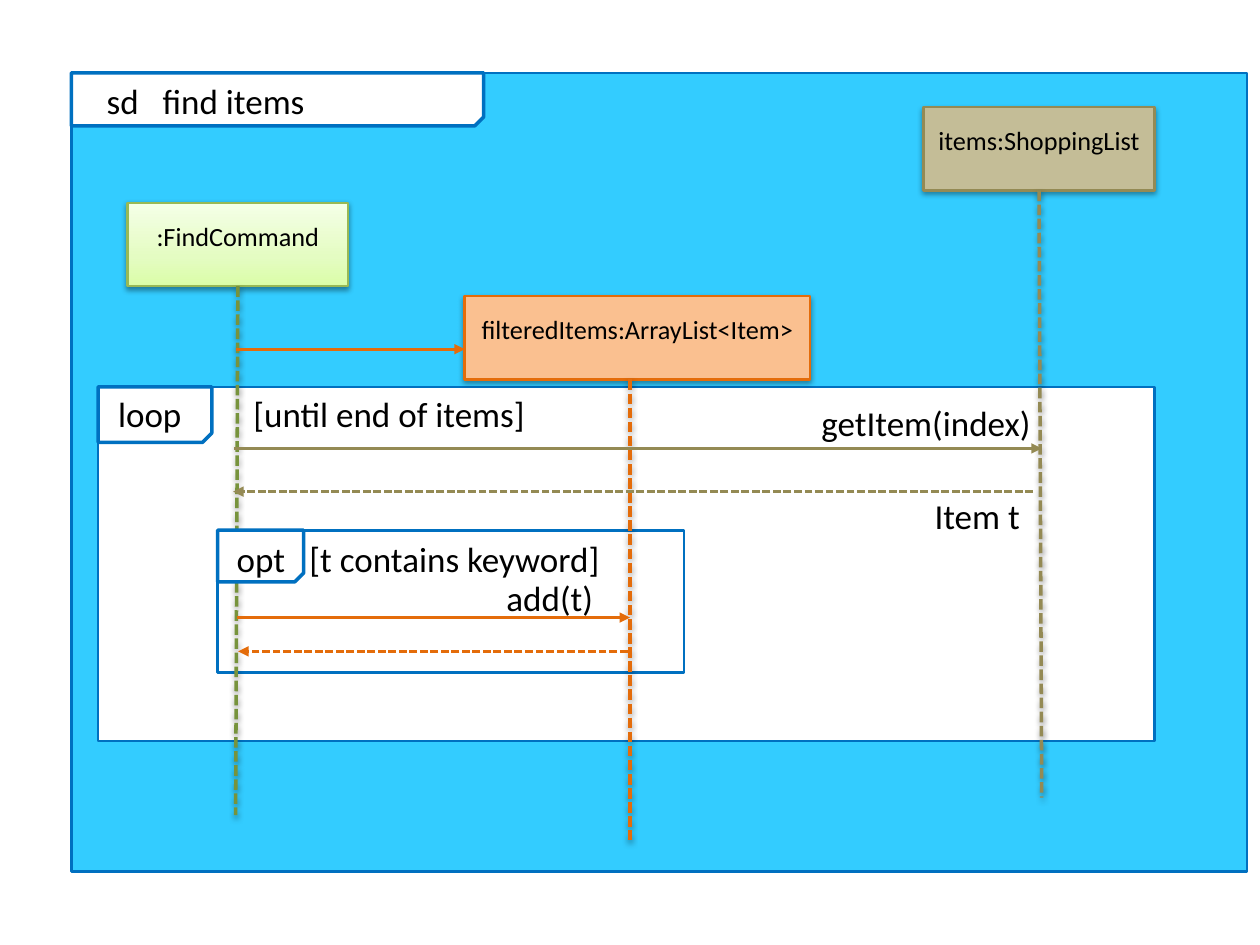
import copy

import pptx
import pptx.dml.color
import pptx.enum.dml
import pptx.enum.shapes
import pptx.enum.text
import pptx.oxml
import pptx.oxml.ns
import pptx.util

Cm = pptx.util.Cm
Pt = pptx.util.Pt
RGBColor = pptx.dml.color.RGBColor
SHAPE = pptx.enum.shapes.MSO_SHAPE
ALIGN = pptx.enum.text.PP_ALIGN
ANCHOR = pptx.enum.text.MSO_ANCHOR
qn = pptx.oxml.ns.qn

BLACK = RGBColor(0x00, 0x00, 0x00)
WHITE = RGBColor(0xFF, 0xFF, 0xFF)
SKY = RGBColor(0x33, 0xCC, 0xFF)
BLUE = RGBColor(0x00, 0x70, 0xC0)
TAN = RGBColor(0xC4, 0xBD, 0x97)
OLIVE = RGBColor(0x94, 0x8A, 0x54)
PEACH = RGBColor(0xFA, 0xC0, 0x90)
ORANGE = RGBColor(0xE4, 0x6C, 0x0A)
LEAF = RGBColor(0x98, 0xB9, 0x55)
GREEN = RGBColor(0x77, 0x93, 0x3C)
LIME = (RGBColor(0xDA, 0xFD, 0xA7), RGBColor(0xE4, 0xFC, 0xC2), RGBColor(0xF5, 0xFF, 0xE7))

SHADOW = (
    '<a:outerShdw xmlns:a="http://schemas.openxmlformats.org/drawingml/2006/main"'
    ' blurRad="40000" dist="20000" dir="5400000" rotWithShape="0">'
    '<a:srgbClr val="000000"><a:alpha val="38000"/></a:srgbClr></a:outerShdw>'
)


def add_child(parent, tag, **attrs):
    """Append an XML element with attributes and return it."""
    child = parent.makeelement(qn(tag), attrs)
    parent.append(child)
    return child


def write(tf, text, size=20, align=ALIGN.LEFT, anchor=ANCHOR.MIDDLE, tab=None):
    """Write one formatted paragraph, with an optional tab stop."""
    tf.vertical_anchor = anchor
    p = tf.paragraphs[0]
    p.alignment = align
    if tab is not None:
        tabs = add_child(p._p.get_or_add_pPr(), "a:tabLst")
        add_child(tabs, "a:tab", pos=str(Cm(tab)), algn="l")
    r = p.add_run()
    r.text = text
    r.font.name = "Calibri"
    r.font.size = Pt(size)
    r.font.color.rgb = BLACK


def label(s, box, text, tab=None):
    """Add a one-line text box."""
    tf = s.shapes.add_textbox(*map(Cm, box)).text_frame
    tf.word_wrap = True
    write(tf, text, tab=tab)


def block(s, box, fill, line, width=1.5, kind=SHAPE.RECTANGLE):
    """Add an outlined shape with a solid or three-stop fill."""
    sp = s.shapes.add_shape(kind, *map(Cm, box))
    sp.shadow.inherit = False
    sp.line.color.rgb = line
    sp.line.width = Pt(width)
    if isinstance(fill, RGBColor):
        sp.fill.solid()
        sp.fill.fore_color.rgb = fill
        return sp
    sp.fill.gradient()
    sp.fill.gradient_angle = 90
    stops = sp._element.spPr.find(".//" + qn("a:gsLst"))
    stops.insert(1, copy.deepcopy(stops[0]))
    for stop, color, position in zip(sp.fill.gradient_stops, fill, (0, 0.35, 1)):
        stop.color.rgb = color
        stop.position = position
    return sp


def frame_tab(s, box, size, text, offset, tab):
    """Add the corner tab and heading of a frame."""
    left, top, width, _ = box
    sp = block(s, (left, top, *size), WHITE, BLUE, 2, SHAPE.SNIP_1_RECTANGLE)
    sp._element.spPr.find(qn("a:xfrm")).set("flipV", "1")
    dx, dy = offset
    label(s, (left + dx, top + dy, min(width, 13), 1.07), text, tab)


def connector(s, start, end, color, width=1.5, dashed=False):
    """Add a straight line without an effect."""
    straight = pptx.enum.shapes.MSO_CONNECTOR.STRAIGHT
    c = s.shapes.add_connector(straight, *map(Cm, start + end))
    c.line.color.rgb = color
    c.line.width = Pt(width)
    if dashed:
        c.line.dash_style = pptx.enum.dml.MSO_LINE.SQUARE_DOT
    add_child(c._element.spPr, "a:effectLst")
    return c


def cast_shadow(sp):
    """Put a soft shadow below a shape or line."""
    effects = sp._element.spPr.find(qn("a:effectLst"))
    effects.append(pptx.oxml.parse_xml(SHADOW))


def participant(s, box, text, fill, line, life_color, life_end, life_x=None):
    """Add a participant with its dashed lifeline."""
    left, top, width, height = box
    sp = block(s, box, fill, line)
    cast_shadow(sp)
    tf = sp.text_frame
    tf.word_wrap = False
    tf.margin_top = Cm(0.35)
    write(tf, text, size=15, align=ALIGN.CENTER, anchor=ANCHOR.TOP)
    x = left + width / 2 if life_x is None else life_x
    c = connector(s, (x, top + height), life_end, life_color, 2, True)
    if life_x is None:
        c.begin_connect(sp, 2)
    cast_shadow(c)


def message(s, start_x, end_x, y, color, dashed=False):
    """Add a horizontal message arrow."""
    c = connector(s, (start_x, y), (end_x, y), color, dashed=dashed)
    add_child(c.line._get_or_add_ln(), "a:tailEnd", type="triangle")


def sequence_diagram(s):
    """Place the frames, participants, messages and labels."""
    outer = (1.44, 1.47, 23.7, 16.1)
    loop = (1.98, 7.8, 21.3, 7.14)
    opt = (4.39, 10.69, 9.4, 2.87)
    for box, fill in ((outer, SKY), (loop, WHITE), (opt, WHITE)):
        block(s, box, fill, BLUE)

    participant(s, (2.57, 4.09, 4.45, 1.68), ":FindCommand",
                LIME, LEAF, GREEN, (4.75, 16.43))
    participant(s, (18.62, 2.16, 4.65, 1.68), "items:ShoppingList",
                TAN, OLIVE, OLIVE, (21, 16.08))
    participant(s, (9.37, 5.97, 6.96, 1.68), "filteredItems:ArrayList<Item>",
                PEACH, ORANGE, ORANGE, (12.7, 16.94), 12.7)

    message(s, 4.75, 9.37, 7.04, ORANGE)
    message(s, 4.72, 21, 9.04, OLIVE)
    message(s, 20.83, 4.7, 9.91, OLIVE, True)
    message(s, 4.78, 12.7, 12.45, ORANGE)
    message(s, 12.65, 4.8, 13.13, ORANGE, True)

    frame_tab(s, outer, (8.31, 1.07), "sd\tfind items", (0.46, 0.03), 1.13)
    frame_tab(s, loop, (2.29, 1.12), "loop\t[until end of items]", (0.15, 0), 2.73)
    frame_tab(s, opt, (1.73, 1.04), "opt\t[t contains keyword]", (0.13, 0.03), 1.47)

    label(s, (16.31, 7.98, 4.8, 1.07), "getItem(index)")
    label(s, (18.59, 9.86, 2.39, 1.07), "Item t")
    label(s, (9.96, 11.51, 2.29, 1.07), "add(t)")


def main():
    """Build and save the presentation."""
    prs = pptx.Presentation()
    prs.slide_width = Cm(25.4)
    prs.slide_height = Cm(19.05)
    sequence_diagram(prs.slides.add_slide(prs.slide_layouts[6]))
    prs.save("out.pptx")


if __name__ == "__main__":
    main()
